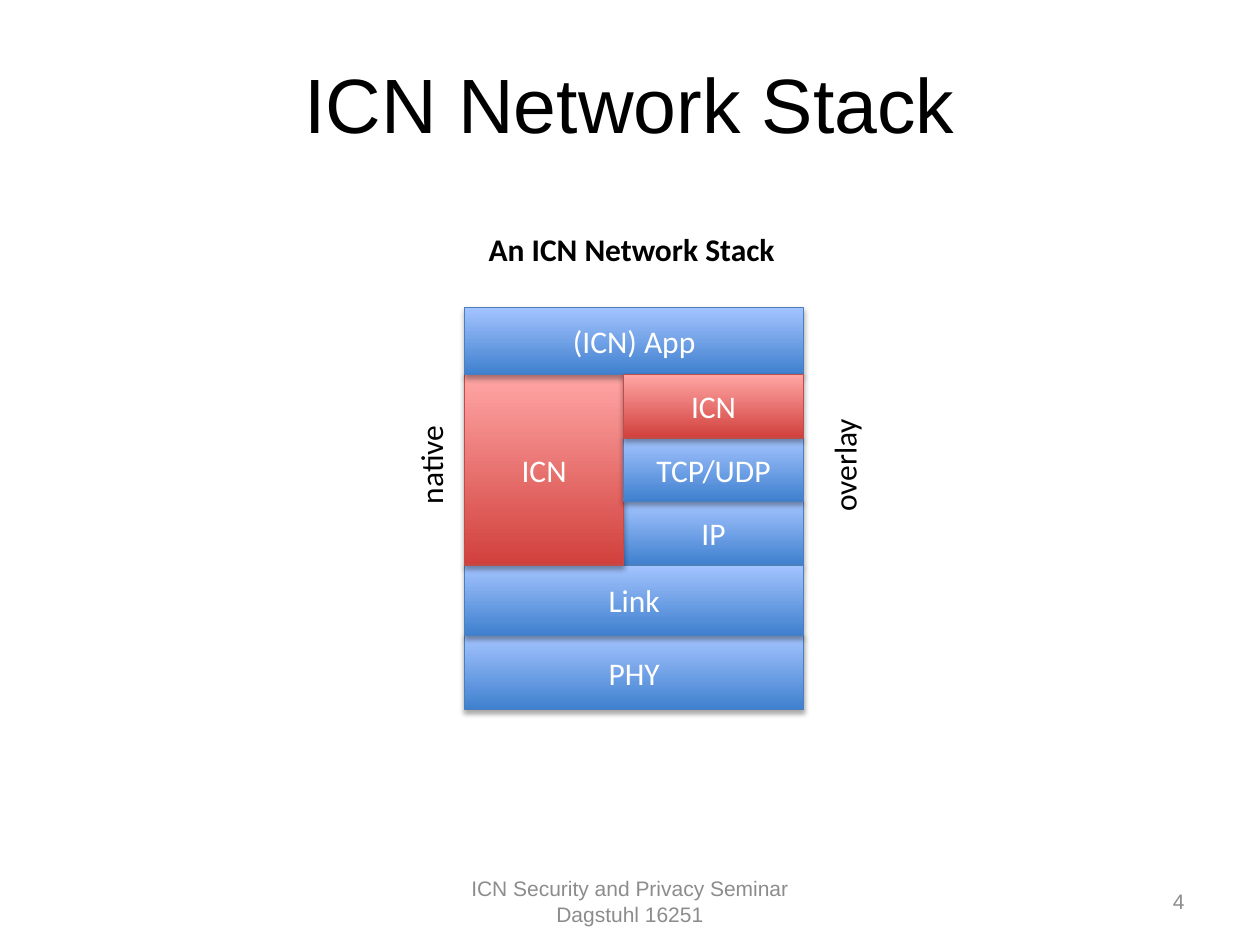
import pptx
import pptx.util
import pptx.dml.color
import pptx.enum.shapes
import pptx.enum.text
import pptx.oxml
import pptx.oxml.ns

Cm = pptx.util.Cm
Pt = pptx.util.Pt
ALIGN = pptx.enum.text.PP_ALIGN
ANCHOR = pptx.enum.text.MSO_ANCHOR

# Content: layers as (text, first column, column span, first row, row span, tone),
# from back to front
LAYERS = [
    ("IP", 1, 1, 3, 1, "blue"),
    ("PHY", 0, 2, 5, 1, "blue"),
    ("Link", 0, 2, 4, 1, "blue"),
    ("ICN", 0, 1, 1, 3, "red"),
    ("(ICN) App", 0, 2, 0, 1, "blue"),
    ("TCP/UDP", 1, 1, 2, 1, "blue"),
    ("ICN", 1, 1, 1, 1, "red"),
]
TITLE = "ICN Network Stack"
CAPTION = "An ICN Network Stack"
FOOTER = ["ICN Security and Privacy Seminar", "Dagstuhl 16251"]
PAGE_NUMBER = "4"
SIDE_LABELS = [("native", 7.62, 2.13), ("overlay", 15.8, 2.44)]  # text, left, width

# Stack grid, in centimetres
STACK_LEFT, STACK_TOP = 9.37, 6.2
COLUMNS = [3.2, 3.63]
ROWS = [1.35, 1.28, 1.28, 1.28, 1.42, 1.5]

THEME = {
    "heading": "Arial", "body": "Calibri",
    "title_size": 44, "body_size": 18, "footer_size": 12,
    "ink": "000000", "muted": "8C8C8C", "on_fill": "FFFFFF",
    # bottom colour, top colour, outline
    "blue": ("3F80CE", "A4C4FF", "4B7EBC"),
    "red": ("D1403C", "FFA6A5", "BF4C48"),
}


def color(code):
    return pptx.dml.color.RGBColor.from_string(code)


def write(shape, lines, font=THEME["body"], size=THEME["body_size"], ink=THEME["ink"],
          bold=False, align=ALIGN.LEFT, anchor=ANCHOR.TOP, wrap=True):
    frame = shape.text_frame
    frame.word_wrap = wrap
    frame.vertical_anchor = anchor
    for index, line in enumerate(lines):
        para = frame.add_paragraph() if index else frame.paragraphs[0]
        para.alignment = align
        span = para.add_run()
        span.text = line
        span.font.name = font
        span.font.size = Pt(size)
        span.font.bold = bold
        span.font.color.rgb = color(ink)


def add_text(page, place, lines, **style):
    box = page.shapes.add_textbox(*(Cm(length) for length in place))
    write(box, lines, **style)
    return box


def add_shadow(shape):
    shape.shadow.inherit = False
    effects = shape.element.spPr.find(pptx.oxml.ns.qn("a:effectLst"))
    effects.append(pptx.oxml.parse_xml(
        f'<a:outerShdw {pptx.oxml.ns.nsdecls("a")} blurRad="{Pt(3.1)}" dist="{Pt(1.8)}" '
        'dir="5400000" rotWithShape="0"><a:srgbClr val="000000">'
        '<a:alpha val="35000"/></a:srgbClr></a:outerShdw>'))


def add_layer(page, text, column, column_span, row, row_span, tone):
    place = (STACK_LEFT + sum(COLUMNS[:column]), STACK_TOP + sum(ROWS[:row]),
             sum(COLUMNS[column:column + column_span]), sum(ROWS[row:row + row_span]))
    box = page.shapes.add_shape(pptx.enum.shapes.MSO_SHAPE.RECTANGLE,
                                *(Cm(length) for length in place))
    bottom, top, outline = THEME[tone]
    box.fill.gradient()
    box.fill.gradient_angle = 90
    for stop, code in zip(box.fill.gradient_stops, (bottom, top)):
        stop.color.rgb = color(code)
    box.line.color.rgb = color(outline)
    box.line.width = Pt(0.75)
    add_shadow(box)
    write(box, [text], ink=THEME["on_fill"], align=ALIGN.CENTER, anchor=ANCHOR.MIDDLE)


def main():
    deck = pptx.Presentation()
    deck.slide_width, deck.slide_height = Cm(25.4), Cm(19.05)
    page = deck.slides.add_slide(deck.slide_layouts[6])

    # Title and footer
    add_text(page, (1.27, 1.02, 22.86, 3.18), [TITLE], font=THEME["heading"],
             size=THEME["title_size"], align=ALIGN.CENTER)
    footer_style = {"font": THEME["heading"], "size": THEME["footer_size"],
                    "ink": THEME["muted"], "anchor": ANCHOR.MIDDLE}
    add_text(page, (8.68, 17.66, 8.04, 1.01), FOOTER, align=ALIGN.CENTER, **footer_style)
    add_text(page, (18.2, 17.66, 5.93, 1.01), [PAGE_NUMBER], align=ALIGN.RIGHT,
             **footer_style)

    # Protocol stack
    for layer in LAYERS:
        add_layer(page, *layer)

    # Side labels and caption
    for text, left, width in SIDE_LABELS:
        label = add_text(page, (left, 8.84, width, 1.02), [text], wrap=False)
        label.rotation = 270
    add_text(page, (9.6, 4.52, 6.35, 1.02), [CAPTION], bold=True, wrap=False)

    deck.save("out.pptx")


if __name__ == "__main__":
    main()
